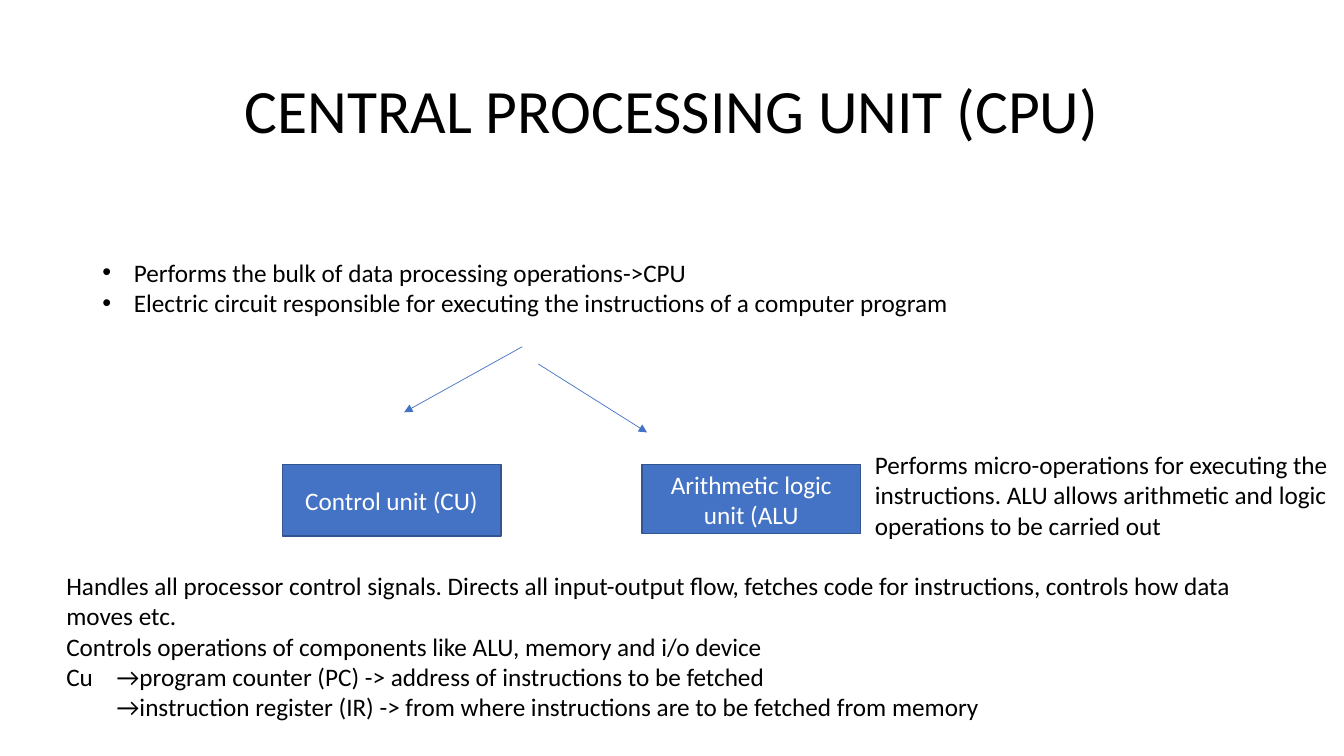
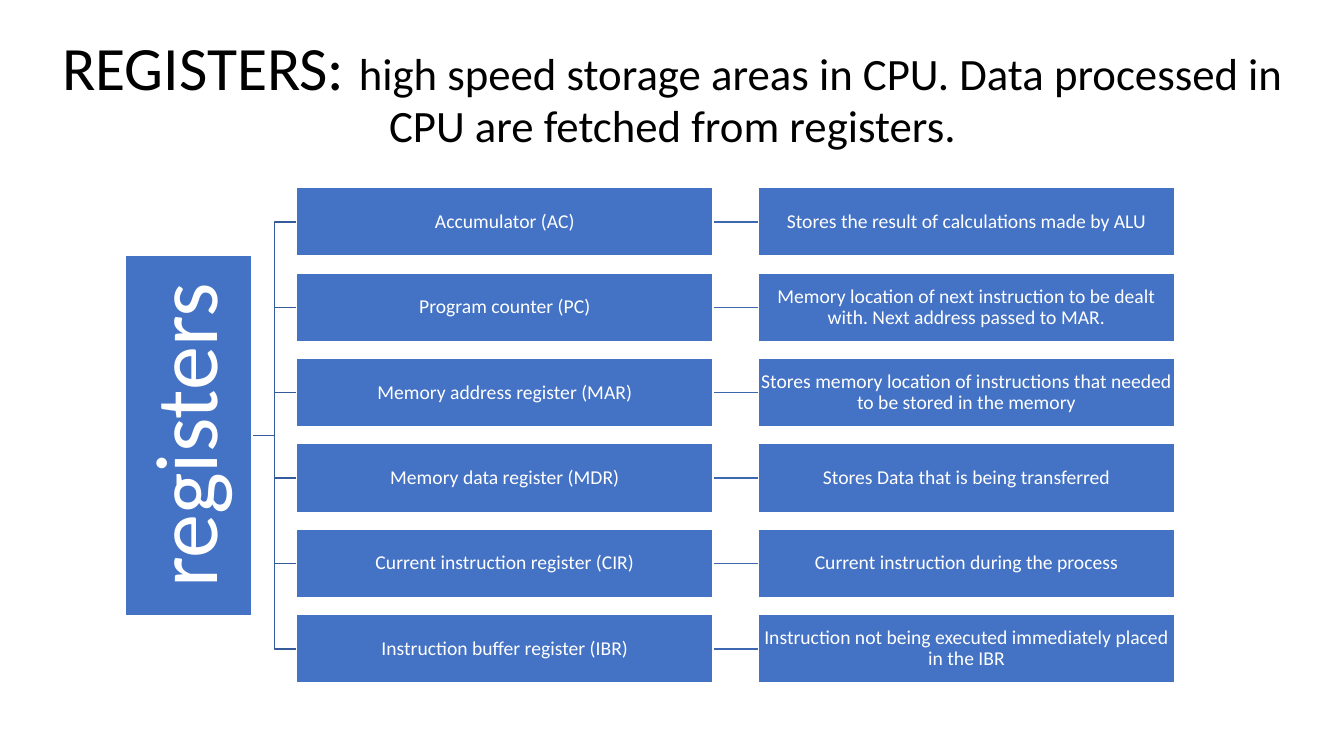
from dataclasses import dataclass

from lxml.etree import SubElement
from pptx import Presentation
from pptx.dml.color import RGBColor
from pptx.enum.shapes import MSO_CONNECTOR, MSO_SHAPE
from pptx.enum.text import MSO_ANCHOR, MSO_AUTO_SIZE, PP_ALIGN
from pptx.oxml.ns import qn
from pptx.util import Pt


@dataclass(frozen=True)
class Theme:
    font: str = "Calibri"
    ink: RGBColor = RGBColor(0, 0, 0)
    white: RGBColor = RGBColor(255, 255, 255)
    blue: RGBColor = RGBColor(0x44, 0x72, 0xC4)
    unit_border: RGBColor = RGBColor(0x32, 0x54, 0x91)
    branch: RGBColor = RGBColor(0x36, 0x5B, 0x9D)
    link: RGBColor = RGBColor(0x3E, 0x67, 0xB2)
    title_size: int = 44
    subtitle_size: int = 32
    body_size: int = 18
    register_size: int = 14
    root_size: int = 63
    tight: float = 0.9


THEME = Theme()


def write(shape, paragraphs, size, color, align=PP_ALIGN.LEFT, spacing=1.0):
    """Fill a shape with paragraphs in one style and return its text frame."""
    frame = shape.text_frame
    frame.word_wrap = True
    frame.text = "\n".join(paragraphs)
    for paragraph in frame.paragraphs:
        paragraph.alignment = align
        paragraph.line_spacing = spacing
        paragraph.font.name = THEME.font
        paragraph.font.size = Pt(size)
        paragraph.font.color.rgb = color
    return frame


def connect(slide, kind, start, end, color, width):
    """Draw a shadowless connector between two points given in pt."""
    line = slide.shapes.add_connector(kind, *map(Pt, start + end))
    line.line.color.rgb = color
    line.line.width = Pt(width)
    SubElement(line._element.spPr, qn("a:effectLst"))
    return line


prs = Presentation()
prs.slide_width, prs.slide_height = Pt(960), Pt(540)

# Titles
slides = []
for heading, detail, box in [
    ("CENTRAL PROCESSING UNIT (CPU)", "", (66, 28.8, 828, 104.4)),
    ("REGISTERS: ",
     "high speed storage areas in CPU. Data processed in CPU are fetched from registers.",
     (16.5, 15.8, 928, 104.4)),
]:
    slide = prs.slides.add_slide(prs.slide_layouts[5])
    title = slide.shapes.title
    title.left, title.top, title.width, title.height = map(Pt, box)
    frame = write(title, [heading], THEME.title_size, THEME.ink, PP_ALIGN.CENTER, THEME.tight)
    frame.vertical_anchor = MSO_ANCHOR.MIDDLE
    frame.auto_size = MSO_AUTO_SIZE.NONE
    if detail:
        run = frame.paragraphs[0].add_run()
        run.text = detail
        run.font.size = Pt(THEME.subtitle_size)
    slides.append(slide)
cpu, registers = slides

# CPU: definition, two units and their roles
definition = [
    "Performs the bulk of data processing operations->CPU",
    "Electric circuit responsible for executing the instructions of a computer program",
]
alu_role = [
    "Performs micro-operations for executing the instructions. "
    "ALU allows arithmetic and logic operations to be carried out",
]
control_role = [
    "Handles all processor control signals. Directs all input-output flow, "
    "fetches code for instructions, controls how data moves etc.",
    "Controls operations of components like ALU, memory and i/o device",
    "Cu\t→program counter (PC) -> address of instructions to be fetched",
    "\t→instruction register (IR) -> from where instructions are to be fetched from memory",
]
for lines, box, bulleted in [
    (definition, (66, 180, 836, 51), True),
    (alu_role, (617.8, 317.5, 342, 72.7), False),
    (control_role, (40.3, 403.9, 878, 138), False),
]:
    note = cpu.shapes.add_textbox(*map(Pt, box))
    frame = write(note, lines, THEME.body_size, THEME.ink)
    if bulleted:
        for paragraph in frame.paragraphs:
            properties = paragraph._p.get_or_add_pPr()
            properties.set("marL", str(Pt(22.5)))
            properties.set("indent", str(-Pt(22.5)))
            font = SubElement(properties, qn("a:buFont"), typeface="Arial")
            bullet = SubElement(properties, qn("a:buChar"), char="•")
            # Bullet elements must precede the default run properties
            defaults = properties.find(qn("a:defRPr"))
            if defaults is not None:
                defaults.addprevious(font)
                defaults.addprevious(bullet)

for start, end in [((373, 247.7), (288.7, 294.5)), ((384.5, 260), (462.2, 308.9))]:
    arrow = connect(cpu, MSO_CONNECTOR.STRAIGHT, start, end, THEME.blue, 0.5)
    SubElement(arrow.line._get_or_add_ln(), qn("a:tailEnd"), type="triangle")

for label, left, height in [("Control unit (CU)", 201.6, 51), ("Arithmetic logic unit (ALU", 458.6, 49)]:
    unit = cpu.shapes.add_shape(MSO_SHAPE.RECTANGLE, Pt(left), Pt(332), Pt(156.2), Pt(height))
    unit.shadow.inherit = False
    unit.fill.solid()
    unit.fill.fore_color.rgb = THEME.blue
    unit.line.color.rgb = THEME.unit_border
    unit.line.width = Pt(1)
    frame = write(unit, [label], THEME.body_size, THEME.white, PP_ALIGN.CENTER)
    frame.vertical_anchor = MSO_ANCHOR.MIDDLE

# Registers: a tree of names, each with its purpose
purposes = [
    ("Accumulator (AC)", "Stores the result of calculations made by ALU"),
    ("Program counter (PC)",
     "Memory location of next instruction to be dealt with. Next address passed to MAR."),
    ("Memory address register (MAR)",
     "Stores memory location of instructions that needed to be stored in the memory"),
    ("Memory data register (MDR)", "Stores Data that is being transferred"),
    ("Current instruction register (CIR)", "Current instruction during the process"),
    ("Instruction buffer register (IBR)",
     "Instruction not being executed immediately placed in the IBR"),
]
name_left, purpose_left, node_width, node_height = 211.8, 541.6, 297.6, 49
first_top, pitch = 134, 61
root_width, root_height, root_right = 257, 90.6, 180
root_middle = first_top + (pitch * (len(purposes) - 1) + node_height) / 2

# Each node: text, left, top, width, height, rotation, type size, inset
nodes = [("registers", root_right - (root_width + root_height) / 2, root_middle - root_height / 2,
          root_width, root_height, 270, THEME.root_size, 3)]
for row, pair in enumerate(purposes):
    top = first_top + row * pitch
    middle = top + node_height / 2
    connect(registers, MSO_CONNECTOR.ELBOW, (root_right, root_middle), (name_left, middle),
            THEME.branch, 1)
    connect(registers, MSO_CONNECTOR.STRAIGHT, (name_left + node_width, middle),
            (purpose_left, middle), THEME.link, 1)
    for text, left in zip(pair, (name_left, purpose_left)):
        nodes.append((text, left, top, node_width, node_height, 0, THEME.register_size, 0.7))

for text, left, top, width, height, rotation, size, inset in nodes:
    node = registers.shapes.add_shape(MSO_SHAPE.RECTANGLE, Pt(left), Pt(top), Pt(width), Pt(height))
    node.rotation = rotation
    node.shadow.inherit = False
    node.fill.solid()
    node.fill.fore_color.rgb = THEME.blue
    node.line.color.rgb = THEME.white
    node.line.width = Pt(1)
    frame = write(node, [text], size, THEME.white, PP_ALIGN.CENTER, THEME.tight)
    frame.vertical_anchor = MSO_ANCHOR.MIDDLE
    frame.margin_left = frame.margin_right = frame.margin_top = frame.margin_bottom = Pt(inset)

prs.save("out.pptx")
